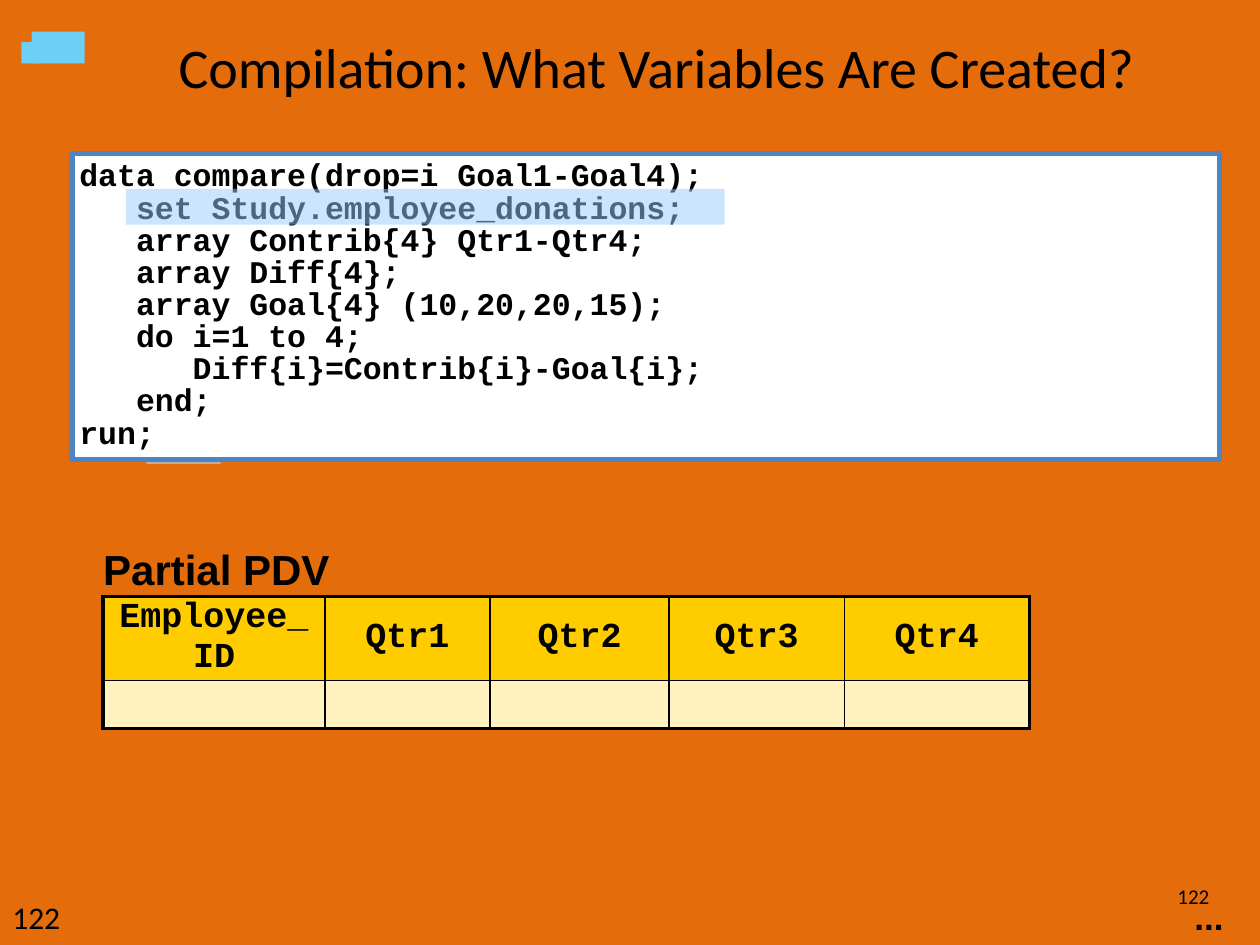
from lxml import etree
from pptx import Presentation
from pptx import util as u
from pptx.dml.color import RGBColor
from pptx.enum import shapes, text
from pptx.oxml.ns import qn

Cm, Pt = u.Cm, u.Pt
rgb = RGBColor.from_string

prs = Presentation()
prs.slide_width, prs.slide_height = Cm(25.4), Cm(19.05)
s = prs.slides.add_slide(prs.slide_layouts[6])
s.background.fill.solid()
s.background.fill.fore_color.rgb = rgb("E46C0A")


def add_rect(x, y, w, h, fill, line=None, line_pt=1):
    sp = s.shapes.add_shape(shapes.MSO_SHAPE.RECTANGLE, Cm(x), Cm(y), Cm(w), Cm(h))
    sp.shadow.inherit = False
    sp.fill.solid()
    sp.fill.fore_color.rgb = rgb(fill)
    if line:
        sp.line.color.rgb = rgb(line)
        sp.line.width = Pt(line_pt)
    else:
        sp.line.fill.background()
    return sp


def write(tf, lines, size, font, bold=False, align=text.PP_ALIGN.LEFT, spacing=None):
    tf.text = lines
    for p in tf.paragraphs:
        p.alignment = align
        p.line_spacing = spacing
        for r in p.runs:
            r.font.size, r.font.name, r.font.bold = Pt(size), font, bold
            r.font.color.rgb = rgb("000000")


# Corner decoration
add_rect(0.64, 0.64, 1.07, 0.64, "6DCFF6")
add_rect(0.43, 0.85, 0.43, 0.43, "6DCFF6")
add_rect(2.97, 8.26, 1.47, 1.07, "6DCFF6", "B9AFA4")

# Slide numbers and continuation dots
for x, y, w, h, label, size, font, bold, align, anchor, wrap in (
    (22.78, 17.58, 1.85, 0.99, "122", 12, "Calibri", False,
     text.PP_ALIGN.RIGHT, text.MSO_ANCHOR.MIDDLE, True),
    (0, 17.98, 1.47, 1.07, "122", 18, "Calibri", False,
     text.PP_ALIGN.LEFT, text.MSO_ANCHOR.TOP, True),
    (23.83, 17.93, 1.09, 1.12, "...", 20, "Arial", True,
     text.PP_ALIGN.LEFT, text.MSO_ANCHOR.TOP, False),
):
    tf = s.shapes.add_textbox(Cm(x), Cm(y), Cm(w), Cm(h)).text_frame
    tf.word_wrap, tf.vertical_anchor = wrap, anchor
    write(tf, label, size, font, bold, align)

# Title
tf = s.shapes.add_textbox(Cm(3.6), Cm(0.64), Cm(23.5), Cm(1.9)).text_frame
tf.word_wrap = True
tf.margin_left = tf.margin_right = tf.margin_top = tf.margin_bottom = 0
write(tf, "Compilation: What Variables Are Created?", 32, "Calibri", spacing=Pt(39))

# Program code
code = """data compare(drop=i Goal1-Goal4);
   set Study.employee_donations;
   array Contrib{4} Qtr1-Qtr4;
   array Diff{4};
   array Goal{4} (10,20,20,15);
   do i=1 to 4;
      Diff{i}=Contrib{i}-Goal{i};
   end;
run;"""
tf = add_rect(1.45, 3.1, 23.14, 6.17, "FFFFFF", "4E84C4", 3).text_frame
tf.word_wrap, tf.vertical_anchor = True, text.MSO_ANCHOR.TOP
tf.margin_left = tf.margin_right = tf.margin_top = tf.margin_bottom = Cm(0.15)
write(tf, code, 18, "Courier New", True, spacing=0.85)

# Partial PDV table: caption row, header row, empty value row
names = ["Employee_ID", "Qtr1", "Qtr2", "Qtr3", "Qtr4"]
widths = [4.47, 3.33, 3.61, 3.53, 3.73]
heights = [1.02, 1.7, 0.97]
tbl = s.shapes.add_table(3, 5, Cm(2.08), Cm(11), Cm(sum(widths)), Cm(sum(heights))).table
tbl.first_row = tbl.horz_banding = False
for col, w in zip(tbl.columns, widths):
    col.width = Cm(w)
for row, h in zip(tbl.rows, heights):
    row.height = Cm(h)
tbl.cell(0, 0).merge(tbl.cell(0, 4))

for i in range(3):
    for j, name in enumerate(names):
        c = tbl.cell(i, j)
        c.vertical_anchor = text.MSO_ANCHOR.MIDDLE
        c.margin_top = c.margin_bottom = 0
        if i == 0:
            c.fill.background()
            c.margin_left = c.margin_right = 0
            if j == 0:
                write(c.text_frame, "Partial PDV", 24, "Arial", True)
        else:
            c.fill.solid()
            c.fill.fore_color.rgb = rgb("FFCC00" if i == 1 else "FFF2BE")
        if i == 1:
            write(c.text_frame, name, 20, "Courier New", True, text.PP_ALIGN.CENTER)

        # Thick frame around the two lower rows, thin lines inside
        if i == 0:
            borders = {"L": 0, "R": 0, "T": 0, "B": 2.25}
        else:
            borders = {"L": 2.25 if j == 0 else 1, "R": 2.25 if j == 4 else 1,
                       "T": 2.25 if i == 1 else 1, "B": 2.25 if i == 2 else 1}
        tcPr = c._tc.get_or_add_tcPr()
        for k, (side, pt) in enumerate(borders.items()):
            ln = etree.Element(qn("a:ln" + side), w=str(Pt(pt)))
            if pt:
                fill = etree.SubElement(ln, qn("a:solidFill"))
                etree.SubElement(fill, qn("a:srgbClr"), val="000000")
            else:
                etree.SubElement(ln, qn("a:noFill"))
            tcPr.insert(k, ln)

# Half-transparent highlight over the set statement
sp = add_rect(2.54, 3.81, 12.07, 0.72, "99CCFF")
clr = sp.fill._xPr.find(".//" + qn("a:srgbClr"))
etree.SubElement(clr, qn("a:alpha"), val="50000")

prs.save("out.pptx")
